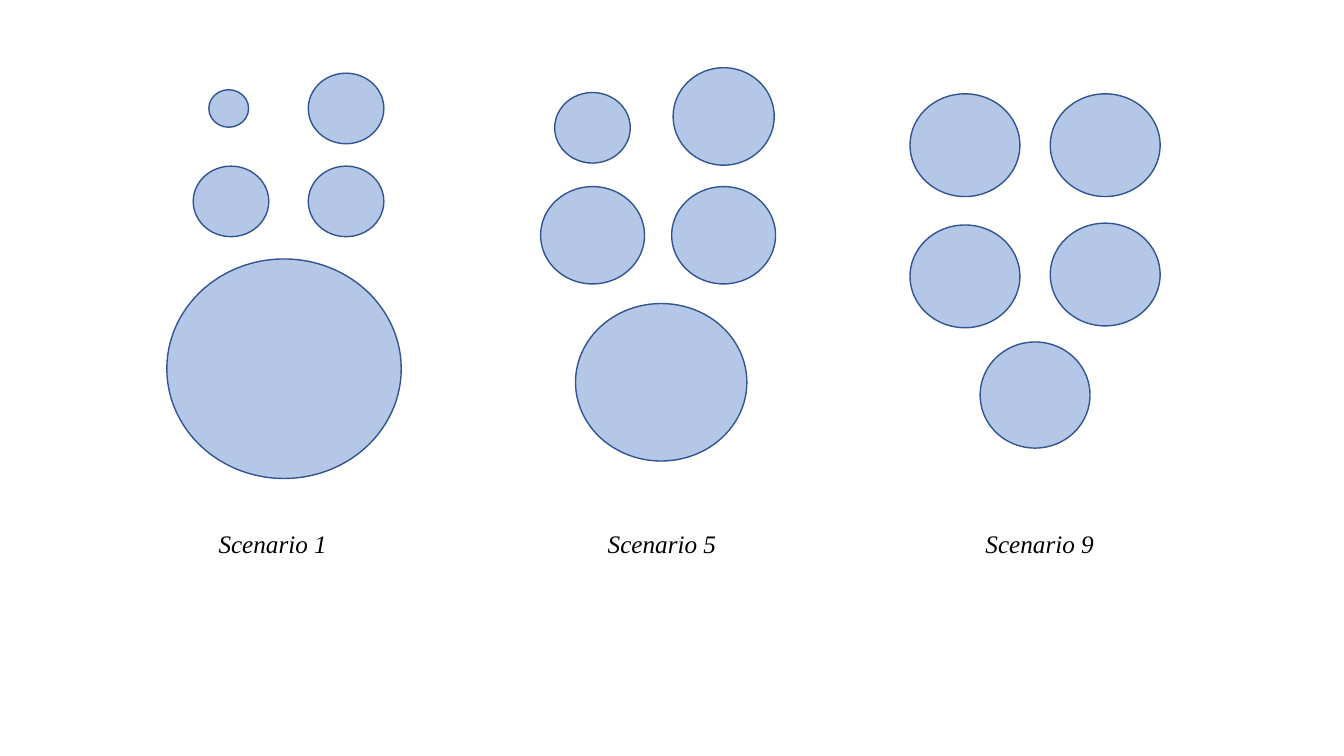
from dataclasses import dataclass

from pptx import Presentation
from pptx import util as u
from pptx.dml.color import RGBColor
from pptx.enum import shapes, text

FILL, OUTLINE, INK = "B4C7E7", "325491", "000000"
SMALL = (54, 50.4)
MEDIUM = (74.2, 69.5)
EQUAL = (78.5, 73.4)
LABEL_TOP, LABEL_SIZE = 373.7, (107.3, 28.8)
LABEL_FONT = {"name": "Times New Roman", "size": u.Pt(18), "italic": True}


@dataclass
class Circle:
    left: float
    top: float
    size: tuple[float, float]


@dataclass
class Scenario:
    label: str
    label_left: float
    circles: list[Circle]


SCENARIOS = [
    Scenario("Scenario 1", 149, [
        Circle(149.2, 64.1, (28.4, 26.8)),
        Circle(220.2, 52.3, SMALL),
        Circle(138, 118.7, SMALL),
        Circle(220.2, 118.7, SMALL),
        Circle(119.2, 185, (167.4, 156.8)),
    ]),
    Scenario("Scenario 5", 427, [
        Circle(480.8, 48.4, (72.2, 69.6)),
        Circle(396.2, 66.1, SMALL),
        Circle(386.2, 133.3, MEDIUM),
        Circle(479.8, 133.3, MEDIUM),
        Circle(411.1, 216.8, (122.4, 112.5)),
    ]),
    Scenario("Scenario 9", 696.8, [
        Circle(650, 67, EQUAL),
        Circle(750.2, 67, EQUAL),
        Circle(650, 160.7, EQUAL),
        Circle(750.2, 159.4, EQUAL),
        Circle(700.1, 244.3, (78.5, 75.8)),
    ]),
]


def color(value: str) -> RGBColor:
    return RGBColor.from_string(value)


def box(left: float, top: float, size: tuple[float, float]) -> list[u.Length]:
    return [u.Pt(v) for v in (left, top, *size)]


def draw_circle(s, circle: Circle) -> None:
    sp = s.shapes.add_shape(shapes.MSO_SHAPE.OVAL,
                            *box(circle.left, circle.top, circle.size))
    sp.shadow.inherit = False
    sp.fill.solid()
    sp.fill.fore_color.rgb = color(FILL)
    sp.line.color.rgb = color(OUTLINE)
    sp.line.width = u.Pt(1)


def draw_label(s, label: str, left: float) -> None:
    sp = s.shapes.add_textbox(*box(left, LABEL_TOP, LABEL_SIZE))
    tf = sp.text_frame
    tf.word_wrap = True
    tf.auto_size = text.MSO_AUTO_SIZE.SHAPE_TO_FIT_TEXT
    r = tf.paragraphs[0].add_run()
    r.text = label
    for name, value in LABEL_FONT.items():
        setattr(r.font, name, value)
    r.font.color.rgb = color(INK)


def draw_scenario(s, scenario: Scenario) -> None:
    for circle in scenario.circles:
        draw_circle(s, circle)
    draw_label(s, scenario.label, scenario.label_left)


prs = Presentation()
prs.slide_width, prs.slide_height = u.Pt(960), u.Pt(540)
s = prs.slides.add_slide(prs.slide_layouts[6])
for scenario in SCENARIOS:
    draw_scenario(s, scenario)
prs.save("out.pptx")
